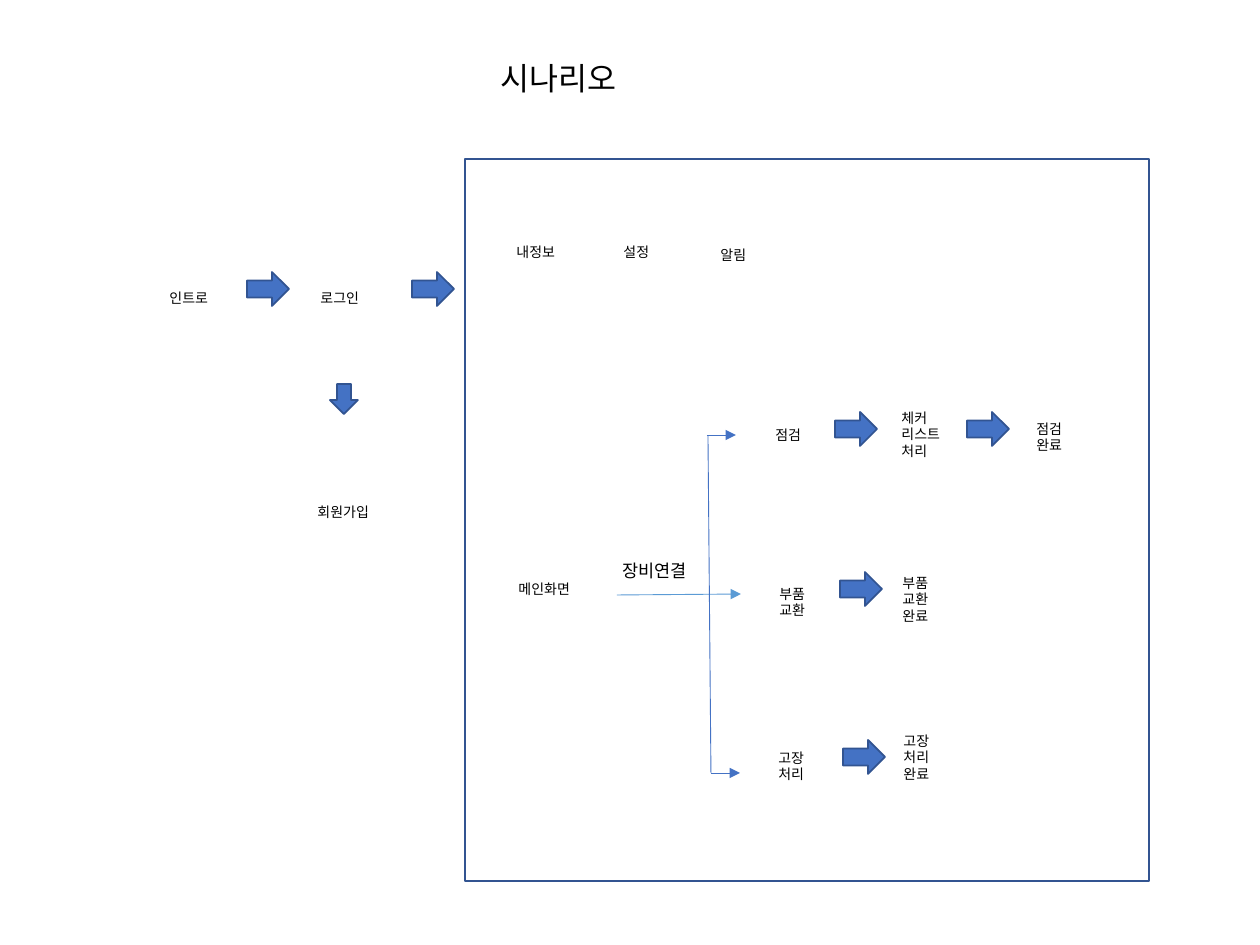
"""Build the app scenario flow slide."""
from pptx import Presentation
from pptx.dml.color import RGBColor
from pptx.enum.shapes import MSO_CONNECTOR, MSO_SHAPE as SHAPE
from pptx.enum.text import MSO_ANCHOR, MSO_AUTO_SIZE, PP_ALIGN
from pptx.oxml.ns import qn
from pptx.util import Pt
from lxml.etree import SubElement

PX = 914400 / 126
COLORS = {"text": "000000", "fill": "4472C4", "edge": "325491", "main": "5B9BD5"}


def emu(*lengths):
    return [round(n * PX) for n in lengths]


def write_text(sp, text, size=8, wrap=False):
    tf = sp.text_frame
    tf.text = text
    tf.word_wrap = wrap
    tf.auto_size = MSO_AUTO_SIZE.SHAPE_TO_FIT_TEXT
    tf.vertical_anchor = MSO_ANCHOR.TOP
    for p in tf.paragraphs:
        p.alignment = PP_ALIGN.LEFT
        for r in p.runs:
            r.font.size = Pt(size)
            r.font.name = "Calibri"
            r.font.color.rgb = RGBColor.from_string(COLORS["text"])


prs = Presentation()
prs.slide_width, prs.slide_height = emu(1260, 945)
s = prs.slides.add_slide(prs.slide_layouts[5])

title = s.shapes.title
title.left, title.top, title.width, title.height = emu(488, 53, 152, 50)
write_text(title, "시나리오", size=18)

blocks = [(SHAPE.RECTANGLE, 465, 159, 684, 722), (SHAPE.DOWN_ARROW, 330, 384, 28, 30)]
for x, y in [(247, 272), (412, 272), (835, 412), (967, 412), (840, 572), (843, 740)]:
    blocks.append((SHAPE.RIGHT_ARROW, x, y, 42, 34))
for kind, *box in blocks:
    sp = s.shapes.add_shape(kind, *emu(*box))
    sp.shadow.inherit = False
    if kind == SHAPE.RECTANGLE:
        sp.fill.background()
    else:
        sp.fill.solid()
        sp.fill.fore_color.rgb = RGBColor.from_string(COLORS["fill"])
    sp.line.color.rgb = RGBColor.from_string(COLORS["edge"])
    sp.line.width = Pt(1)

lines = [
    (617, 595, 741, 594, "main", True),
    (708, 436, 711, 773, "fill", False),
    (707, 435, 736, 435, "fill", True),
    (711, 773, 740, 773, "fill", True),
]
for x1, y1, x2, y2, color, has_head in lines:
    cx = s.shapes.add_connector(MSO_CONNECTOR.STRAIGHT, *emu(x1, y1, x2, y2))
    cx.line.color.rgb = RGBColor.from_string(COLORS[color])
    cx.line.width = Pt(0.5)
    if has_head:
        SubElement(cx.line._get_or_add_ln(), qn("a:tailEnd"), type="triangle")
    SubElement(cx._element.spPr, qn("a:effectLst"))

labels = [
    ("인트로", 157, 283, 68, 30, 8, False),
    ("로그인", 308, 283, 68, 30, 8, False),
    ("회원가입", 305, 497, 82, 30, 8, False),
    ("내정보", 504, 237, 70, 30, 8, False),
    ("설정", 611, 237, 57, 30, 8, False),
    ("알림", 708, 240, 57, 30, 8, False),
    ("메인화면", 506, 574, 82, 30, 8, False),
    ("장비연결", 610, 554, 96, 34, 10, False),
    ("점검", 763, 420, 60, 30, 8, True),
    ("체커\n리스트\n처리", 889, 403, 81, 63, 8, True),
    ("점검완료", 1024, 414, 60, 47, 8, True),
    ("부품교환", 767, 579, 60, 47, 8, True),
    ("부품\n교환\n완료", 890, 568, 81, 63, 8, True),
    ("고장처리", 766, 743, 60, 47, 8, True),
    ("고장\n처리\n완료", 891, 726, 81, 63, 8, True),
]
for text, x, y, w, h, size, wrap in labels:
    write_text(s.shapes.add_textbox(*emu(x, y, w, h)), text, size=size, wrap=wrap)

prs.save("out.pptx")
